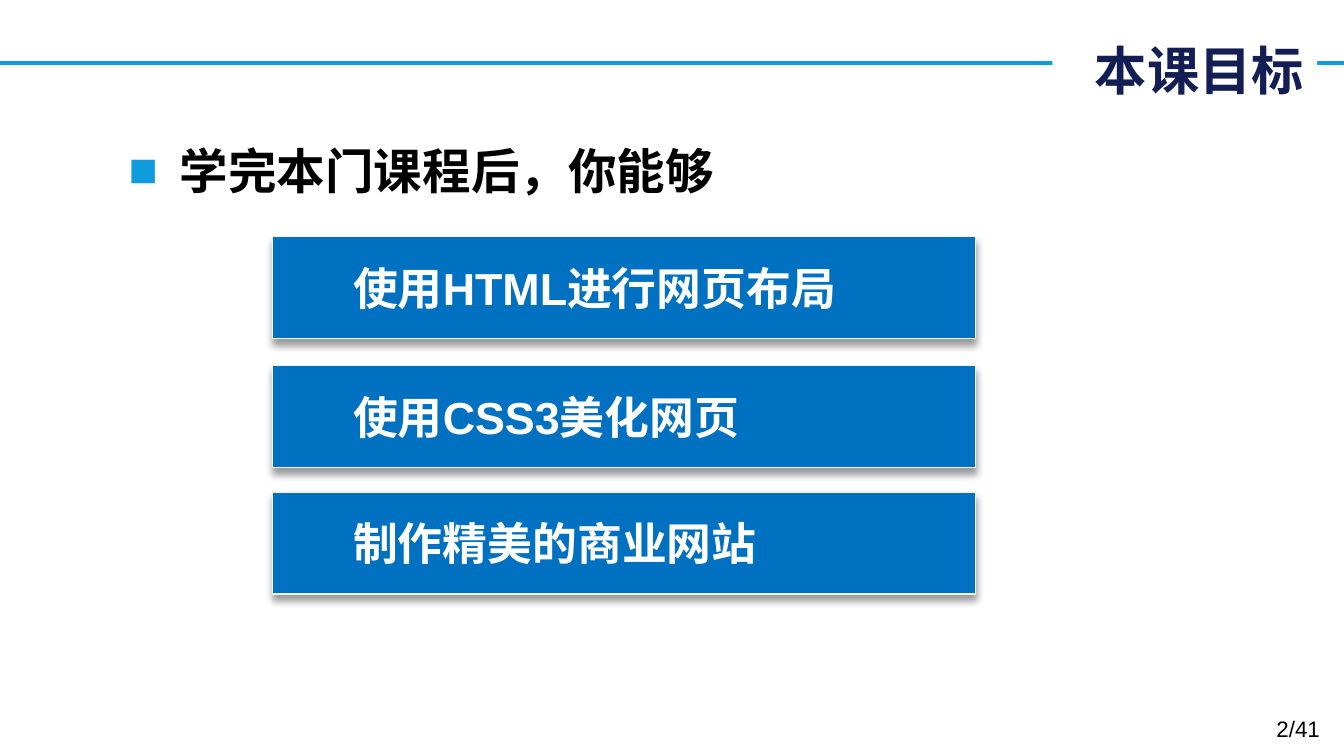
from typing import NamedTuple

from lxml import etree
from pptx import Presentation
from pptx.dml.color import RGBColor
from pptx.enum import shapes, text
from pptx.oxml import ns
from pptx.util import Inches, Pt

SKY = RGBColor(0x0E, 0x9C, 0xDE)
BLUE = RGBColor(0x00, 0x70, 0xC0)
NAVY = RGBColor(0x12, 0x1E, 0x54)
PALE = RGBColor(0xF2, 0xF2, 0xF2)
WHITE = RGBColor(0xFF, 0xFF, 0xFF)
BLACK = RGBColor(0x00, 0x00, 0x00)
LATIN, HAN = "Arial", "Noto Sans CJK SC"


class Goal(NamedTuple):
    top: float
    words: str


GOALS = (
    Goal(1.76, "使用HTML进行网页布局"),
    Goal(2.72, "使用CSS3美化网页"),
    Goal(3.66, "制作精美的商业网站"),
)


def node(parent, tag: str, **attrs: str):
    return etree.SubElement(parent, ns.qn(tag), **attrs)


def area(left: float, top: float, width: float, height: float) -> tuple:
    return tuple(Inches(n) for n in (left, top, width, height))


def add_run(para, words: str, size: int, color: RGBColor,
            bold: bool = True, face: str = LATIN) -> None:
    run = para.add_run()
    run.text = words
    font = run.font
    font.name, font.size, font.bold = face, Pt(size), bold
    font.color.rgb = color
    node(font._element, "a:ea", typeface=HAN)


def set_indent(para, left: float, first: float):
    props = para._p.get_or_add_pPr()
    props.set("marL", str(Inches(left)))
    props.set("indent", str(Inches(first)))
    return props


def add_goal(slide, goal: Goal) -> None:
    box = slide.shapes.add_shape(shapes.MSO_SHAPE.RECTANGLE,
                                 *area(2.03, goal.top, 5.23, 0.76))
    box.fill.solid()
    box.fill.fore_color.rgb = BLUE
    box.line.color.rgb = PALE
    box.line.width = Pt(0.75)

    # Soft shadow straight below
    box.shadow.inherit = False
    effects = box._element.spPr.find(ns.qn("a:effectLst"))
    shade = node(effects, "a:outerShdw", blurRad=str(Pt(4)), dist=str(Pt(3)),
                 dir="5400000", algn="t", rotWithShape="0")
    tint = node(shade, "a:srgbClr", val=str(BLACK))
    node(tint, "a:alpha", val="40000")

    frame = box.text_frame
    frame.vertical_anchor = text.MSO_ANCHOR.MIDDLE
    para = frame.paragraphs[0]
    para.level = 1
    para.alignment = text.PP_ALIGN.LEFT
    para.space_before = Pt(4.8)
    set_indent(para, 0.81, -0.31)
    add_run(para, goal.words, 24, WHITE)


def add_text(slide, place: tuple):
    frame = slide.shapes.add_textbox(*place).text_frame
    frame.word_wrap = True
    return frame.paragraphs[0]


def main() -> None:
    deck = Presentation()
    wide = Inches(10)
    deck.slide_width, deck.slide_height = wide, wide * 9 // 16
    slide = deck.slides.add_slide(deck.slide_layouts[5])

    # Rule across the top, behind the title
    rule = slide.shapes.add_connector(
        shapes.MSO_CONNECTOR.STRAIGHT, 0, Inches(0.47), wide, Inches(0.47))
    rule.line.color.rgb = SKY
    rule.line.width = Pt(2.25)
    node(rule._element.spPr, "a:effectLst")
    slide.shapes._spTree.insert(2, rule._element)

    # Title
    title = slide.shapes.title
    title.left, title.top, title.width, title.height = area(7.83, 0.23, 1.97, 0.57)
    title.fill.solid()
    title.fill.fore_color.rgb = WHITE
    frame = title.text_frame
    frame.auto_size = text.MSO_AUTO_SIZE.SHAPE_TO_FIT_TEXT
    frame.vertical_anchor = text.MSO_ANCHOR.MIDDLE
    para = frame.paragraphs[0]
    para.alignment = text.PP_ALIGN.RIGHT
    add_run(para, "本课目标", 28, NAVY, face=HAN)

    # Lead line with a square bullet
    para = add_text(slide, area(0.86, 1, 8.36, 4.22))
    para.space_before = Pt(5.2)
    props = set_indent(para, 0.38, -0.38)
    node(node(props, "a:buClr"), "a:srgbClr", val=str(SKY))
    node(props, "a:buFont", typeface=LATIN)
    node(props, "a:buChar", char="■")
    add_run(para, "学完本门课程后，你能够", 26, BLACK)

    # Goals
    for goal in GOALS:
        add_goal(slide, goal)

    # Page count
    para = add_text(slide, area(7.59, 5.27, 2.33, 0.3))
    para.alignment = text.PP_ALIGN.RIGHT
    add_run(para, "2/41", 12, BLACK, bold=False)

    deck.save("out.pptx")


if __name__ == "__main__":
    main()
